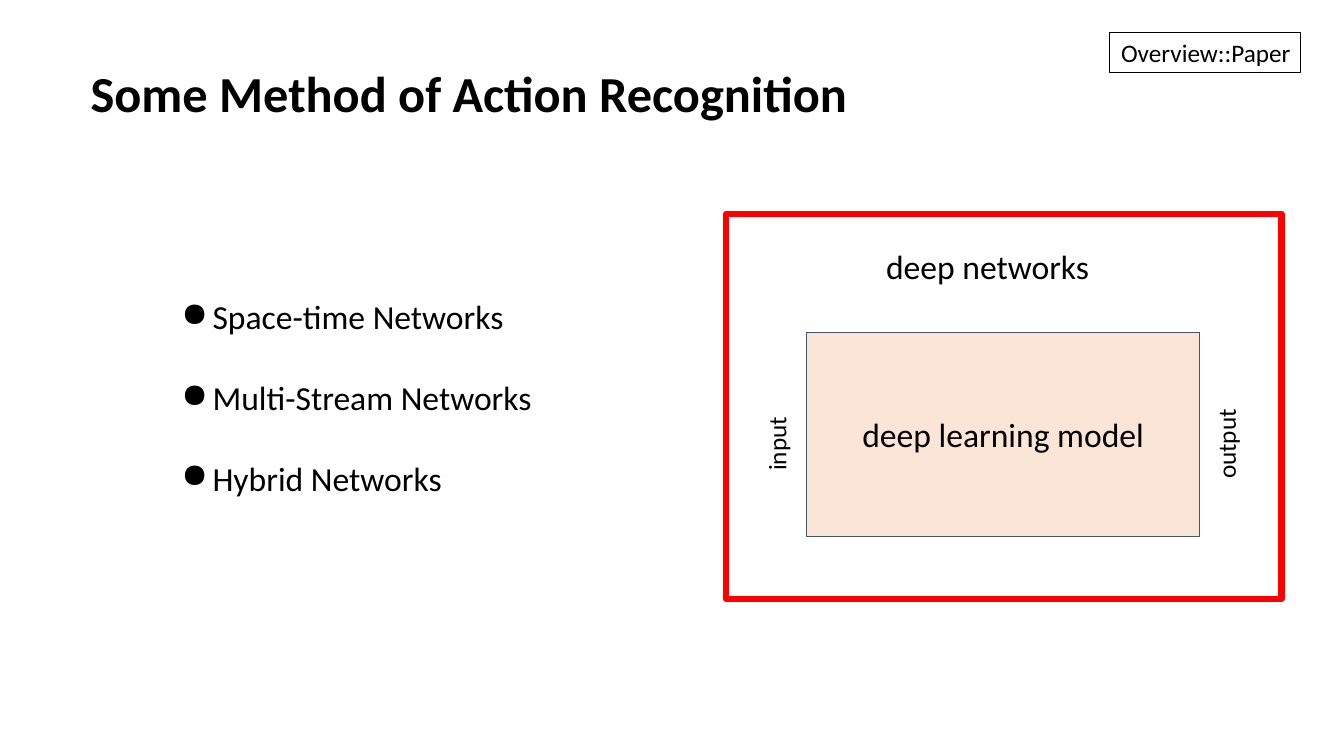
from lxml.etree import SubElement
from pptx import Presentation
from pptx.dml.color import RGBColor
from pptx.enum.shapes import MSO_SHAPE
from pptx.enum.text import MSO_ANCHOR, MSO_AUTO_SIZE, PP_ALIGN
from pptx.oxml.ns import qn
from pptx.util import Pt

PX = 9144  # 100 px to the inch
FONT = "Calibri"
BLACK = RGBColor(0x00, 0x00, 0x00)
RED = RGBColor(0xFF, 0x00, 0x00)
PEACH = RGBColor(0xFB, 0xE5, 0xD6)
SLATE = RGBColor(0x44, 0x54, 0x6A)

# text, (left, top, width, height), size, bold, rotation
LABELS = [
    ("Some Method of Action Recognition", (80, 57, 780, 71), 36, True, 0),
    ("deep networks", (869, 239, 223, 50), 24, False, 0),
    ("input", (733, 420, 74, 40), 18, False, 270),
    ("output", (1171, 420, 90, 40), 18, False, 270),
]
MODEL = ("deep learning model", (800, 330, 390, 202))
TAG = ("Overview::Paper", (1100, 32, 190, 40))
FRAME = (720, 212, 551, 382)
METHODS = ["Space-time Networks", "Multi-Stream Networks", "Hybrid Networks"]
METHODS_PLACE = (170, 249, 371, 252)
BULLET_INDENT = 31


def emu(place):
    return [length * PX for length in place]


def style(para, size, bold=False):
    para.font.name = FONT
    para.font.size = Pt(size)
    para.font.bold = bold
    para.font.color.rgb = BLACK


def fit_to_text(box):
    box.text_frame.word_wrap = False
    box.text_frame.auto_size = MSO_AUTO_SIZE.SHAPE_TO_FIT_TEXT


def add_label(page, text, place, size, bold, rotation):
    box = page.shapes.add_textbox(*emu(place))
    box.rotation = rotation
    fit_to_text(box)
    para = box.text_frame.paragraphs[0]
    para.text = text
    style(para, size, bold)


def add_rectangle(page, place, line_color, line_width, fill=None):
    box = page.shapes.add_shape(MSO_SHAPE.RECTANGLE, *emu(place))
    box.shadow.inherit = False
    box.line.color.rgb = line_color
    box.line.width = Pt(line_width)
    if fill is None:
        box.fill.background()
    else:
        box.fill.solid()
        box.fill.fore_color.rgb = fill
    return box


def write(box, text, size, alignment):
    para = box.text_frame.paragraphs[0]
    para.text = text
    para.alignment = alignment
    style(para, size)


def add_methods(page):
    box = page.shapes.add_textbox(*emu(METHODS_PLACE))
    fit_to_text(box)
    frame = box.text_frame
    for index, method in enumerate(METHODS):
        para = frame.add_paragraph() if index else frame.paragraphs[0]
        para.text = method
        para.line_spacing = 2.0
        properties = para._p.get_or_add_pPr()
        properties.set("marL", str(BULLET_INDENT * PX))
        properties.set("indent", str(-BULLET_INDENT * PX))
        SubElement(properties, qn("a:buChar")).set("char", "●")
        style(para, 24)


def main():
    deck = Presentation()
    deck.slide_width, deck.slide_height = emu((1333, 750))
    page = deck.slides.add_slide(deck.slide_layouts[6])

    model_text, model_place = MODEL
    model = add_rectangle(page, model_place, SLATE, 1, PEACH)
    model.text_frame.vertical_anchor = MSO_ANCHOR.MIDDLE
    write(model, model_text, 24, PP_ALIGN.CENTER)

    for label in LABELS:
        add_label(page, *label)

    tag_text, tag_place = TAG
    tag = add_rectangle(page, tag_place, BLACK, 0.75)
    fit_to_text(tag)
    tag.text_frame.vertical_anchor = MSO_ANCHOR.TOP
    write(tag, tag_text, 18, PP_ALIGN.RIGHT)

    add_rectangle(page, FRAME, RED, 4.5)
    add_methods(page)
    deck.save("out.pptx")


if __name__ == "__main__":
    main()
